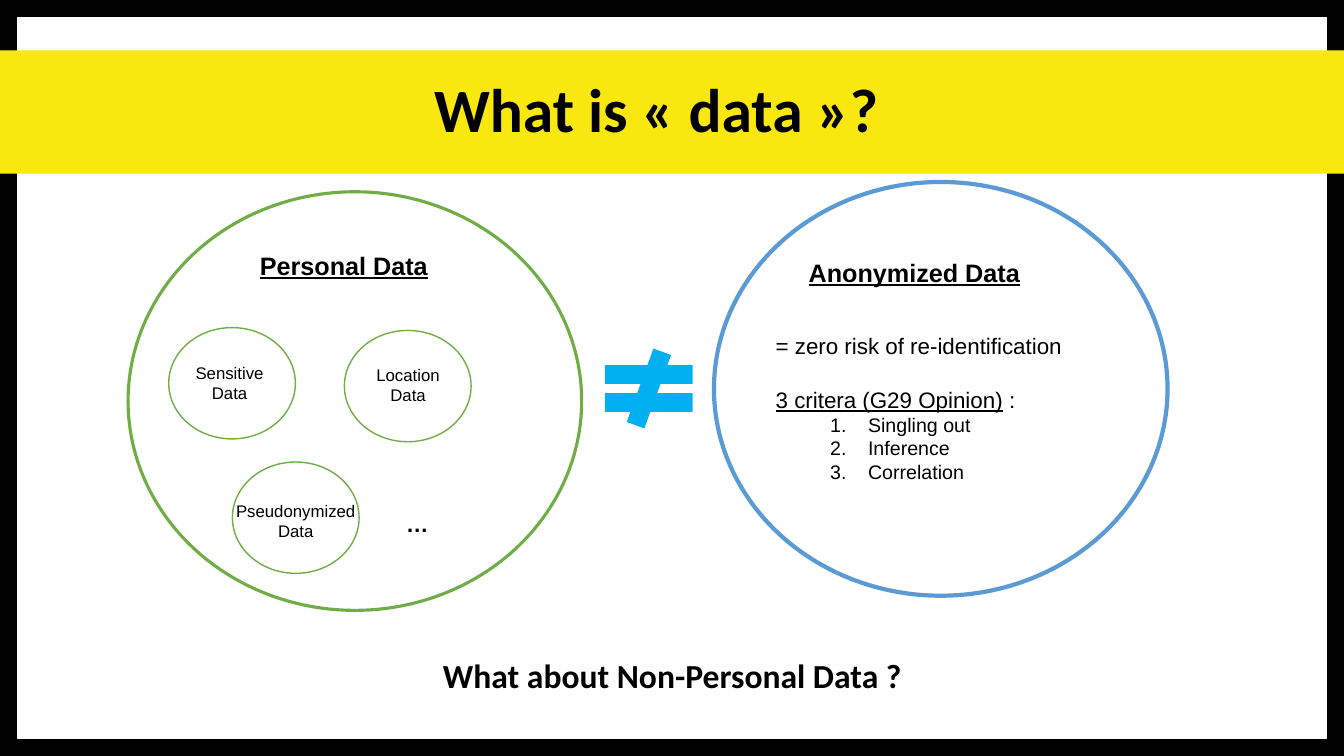
from lxml.etree import SubElement
from pptx import Presentation
from pptx.dml.color import RGBColor
from pptx.enum.shapes import MSO_SHAPE
from pptx.enum.text import MSO_ANCHOR, MSO_AUTO_SIZE, PP_ALIGN
from pptx.oxml.ns import qn
from pptx.util import Pt

COLORS = {
    "white": "FFFFFF",
    "black": "000000",
    "yellow": "F9E80F",
    "green": "70AD47",
    "blue": "5B9BD5",
    "cyan": "00B0F0",
}
TITLE = {"name": "Calibri", "size": Pt(44), "bold": True}
QUESTION = {"name": "Calibri", "size": Pt(24), "bold": True}
HEADING = {"name": "Arial", "size": Pt(18), "bold": True, "underline": True}
BODY = {"name": "Arial", "size": Pt(16)}
CRITERION = {"name": "Arial", "size": Pt(14)}
LABEL = {"name": "Arial", "size": Pt(12)}
ELLIPSIS = {"name": "Arial", "size": Pt(16), "bold": True}

CATEGORY_SIZE = (90.5, 79.5)


def color(name):
    return RGBColor.from_string(COLORS[name])


def add_figure(slide, kind, box, fill, line=None, line_width=0):
    shape = slide.shapes.add_shape(kind, *map(Pt, box))
    shape.shadow.inherit = False
    shape.fill.solid()
    shape.fill.fore_color.rgb = color(fill)
    if line:
        shape.line.color.rgb = color(line)
        shape.line.width = Pt(line_width)
    else:
        shape.line.fill.background()
    return shape


def add_run(paragraph, text, style):
    run = paragraph.add_run()
    run.text = text
    for attribute, value in style.items():
        setattr(run.font, attribute, value)
    run.font.color.rgb = color("black")


def add_text_frame(slide, box):
    frame = slide.shapes.add_textbox(*map(Pt, box)).text_frame
    frame.word_wrap = True
    frame.auto_size = MSO_AUTO_SIZE.SHAPE_TO_FIT_TEXT
    return frame


def add_text(slide, box, lines, style, alignment=PP_ALIGN.CENTER):
    frame = add_text_frame(slide, box)
    for index, line in enumerate(lines):
        paragraph = frame.add_paragraph() if index else frame.paragraphs[0]
        paragraph.alignment = alignment
        add_run(paragraph, line, style)


def number_paragraph(paragraph):
    """Indent the paragraph and give it an automatic number."""
    paragraph.level = 1
    properties = paragraph._p.get_or_add_pPr()
    properties.set("marL", str(Pt(66)))
    properties.set("indent", str(Pt(-27)))
    SubElement(properties, qn("a:buFont"), typeface="+mj-lt")
    SubElement(properties, qn("a:buAutoNum"), type="arabicPeriod")


def add_title(slide, band):
    title = slide.shapes.title
    band.element.addnext(title.element)
    place = {"left": 55, "top": 28, "width": 828, "height": 104.5}
    for attribute, value in place.items():
        setattr(title, attribute, Pt(value))
    frame = title.text_frame
    frame.auto_size = MSO_AUTO_SIZE.NONE
    frame.vertical_anchor = MSO_ANCHOR.MIDDLE
    paragraph = frame.paragraphs[0]
    paragraph.alignment = PP_ALIGN.CENTER
    paragraph.line_spacing = 0.9
    add_run(paragraph, "What is « data »?", TITLE)


def add_criteria(slide):
    frame = add_text_frame(slide, (547, 234, 266.5, 116.5))
    add_run(frame.paragraphs[0], "= zero risk of re-identification", BODY)
    introduction = frame.add_paragraph()
    introduction.space_before = Pt(19)
    add_run(introduction, "3 critera (G29 Opinion)", BODY | {"underline": True})
    add_run(introduction, " :", BODY)
    for criterion in ("Singling out", "Inference", "Correlation"):
        paragraph = frame.add_paragraph()
        number_paragraph(paragraph)
        add_run(paragraph, criterion, CRITERION)


def main():
    presentation = Presentation()
    presentation.slide_width, presentation.slide_height = Pt(960), Pt(540)
    slide = presentation.slides.add_slide(presentation.slide_layouts[5])

    add_figure(slide, MSO_SHAPE.RECTANGLE, (0, 0, 960, 540), "white", "black", 24)
    band = add_figure(slide, MSO_SHAPE.RECTANGLE, (-19.5, 36, 999, 88), "yellow")
    add_title(slide, band)

    add_figure(slide, MSO_SHAPE.OVAL, (91.5, 137, 324, 299), "white", "green", 2.25)
    add_figure(slide, MSO_SHAPE.OVAL, (510, 130, 324, 295.5), "white", "blue", 3)
    add_figure(slide, MSO_SHAPE.MATH_NOT_EQUAL, (421, 249, 85, 57), "cyan")

    for left, top, heading in (
        (178.5, 175, "Personal Data"),
        (570.5, 180, "Anonymized Data"),
    ):
        add_text(slide, (left, top, 306.5, 29), [heading], HEADING, PP_ALIGN.LEFT)

    categories = [
        ((120.5, 234), (121.5, 255.5, 85, 36), ["Sensitive Data"]),
        ((246, 236), (249, 257, 85, 36), ["Location", "Data"]),
        ((166, 330), (155.5, 354, 111.5, 36), ["Pseudonymized", "Data"]),
    ]
    for position, label_box, lines in categories:
        add_figure(slide, MSO_SHAPE.OVAL, position + CATEGORY_SIZE, "white", "green", 1)
        add_text(slide, label_box, lines, LABEL)
    add_text(slide, (255.5, 360.5, 85, 26.5), ["…"], ELLIPSIS)

    add_criteria(slide)
    add_text(
        slide, (147, 464.5, 666.5, 36), ["What about Non-Personal Data ?"], QUESTION
    )
    presentation.save("out.pptx")


if __name__ == "__main__":
    main()
